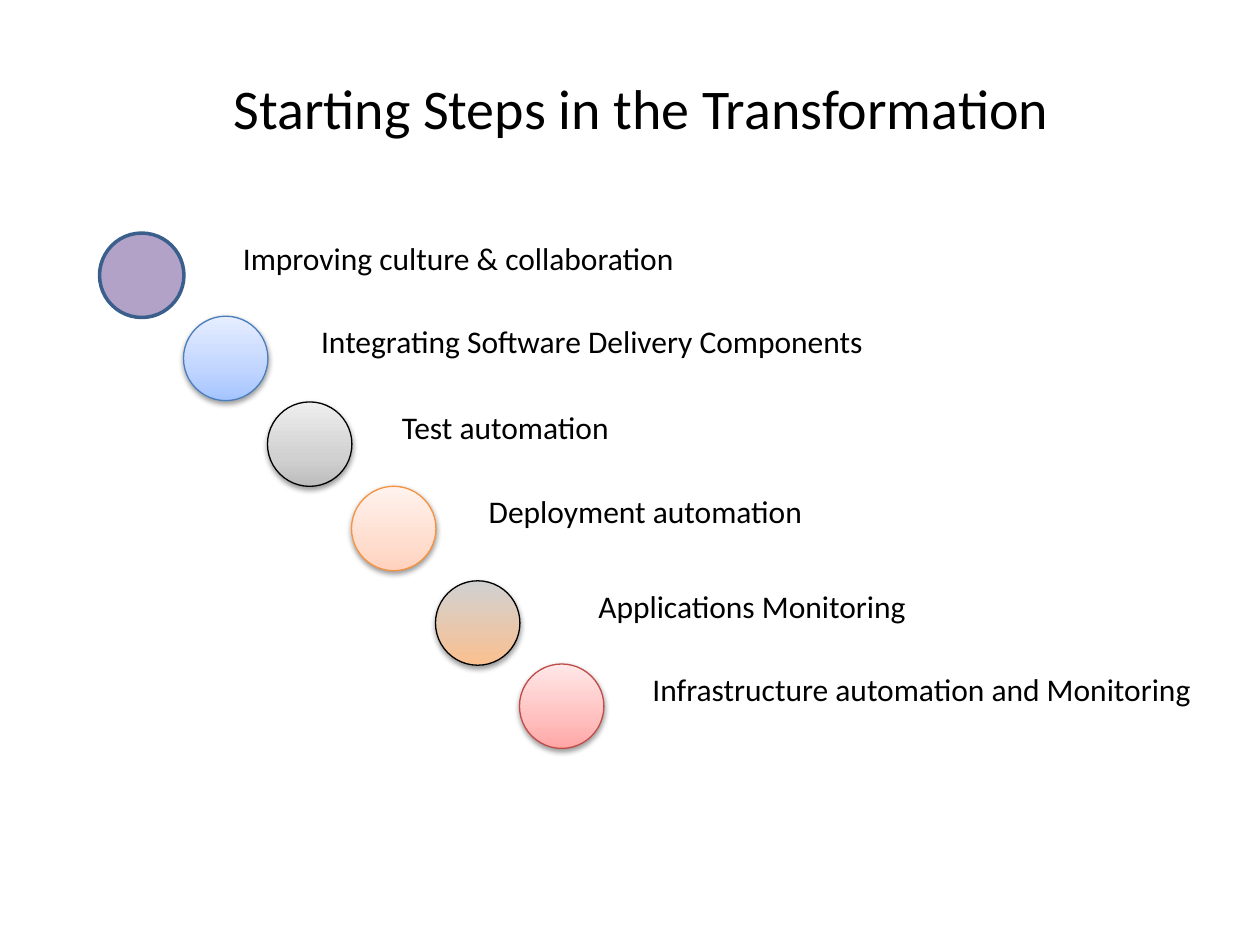
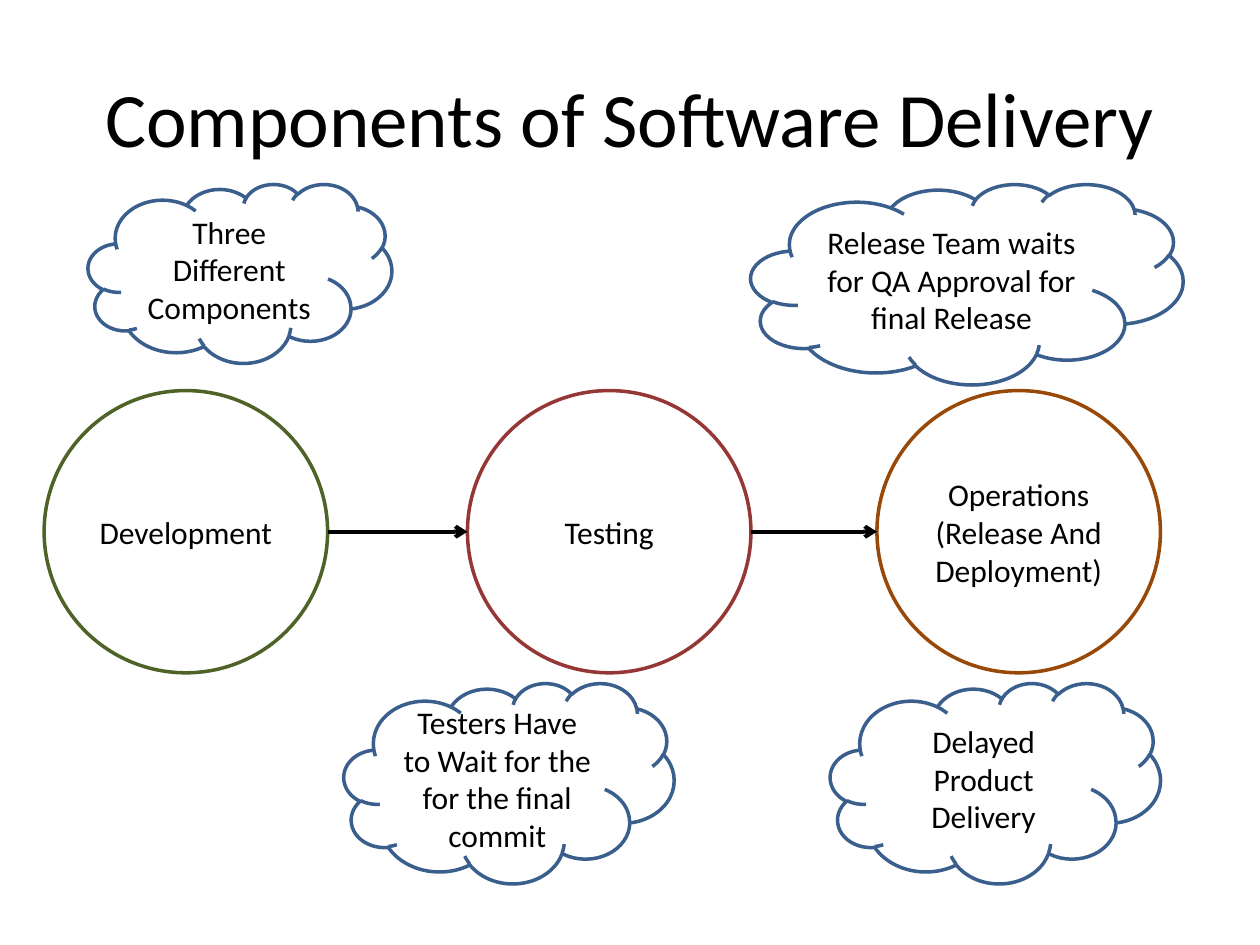
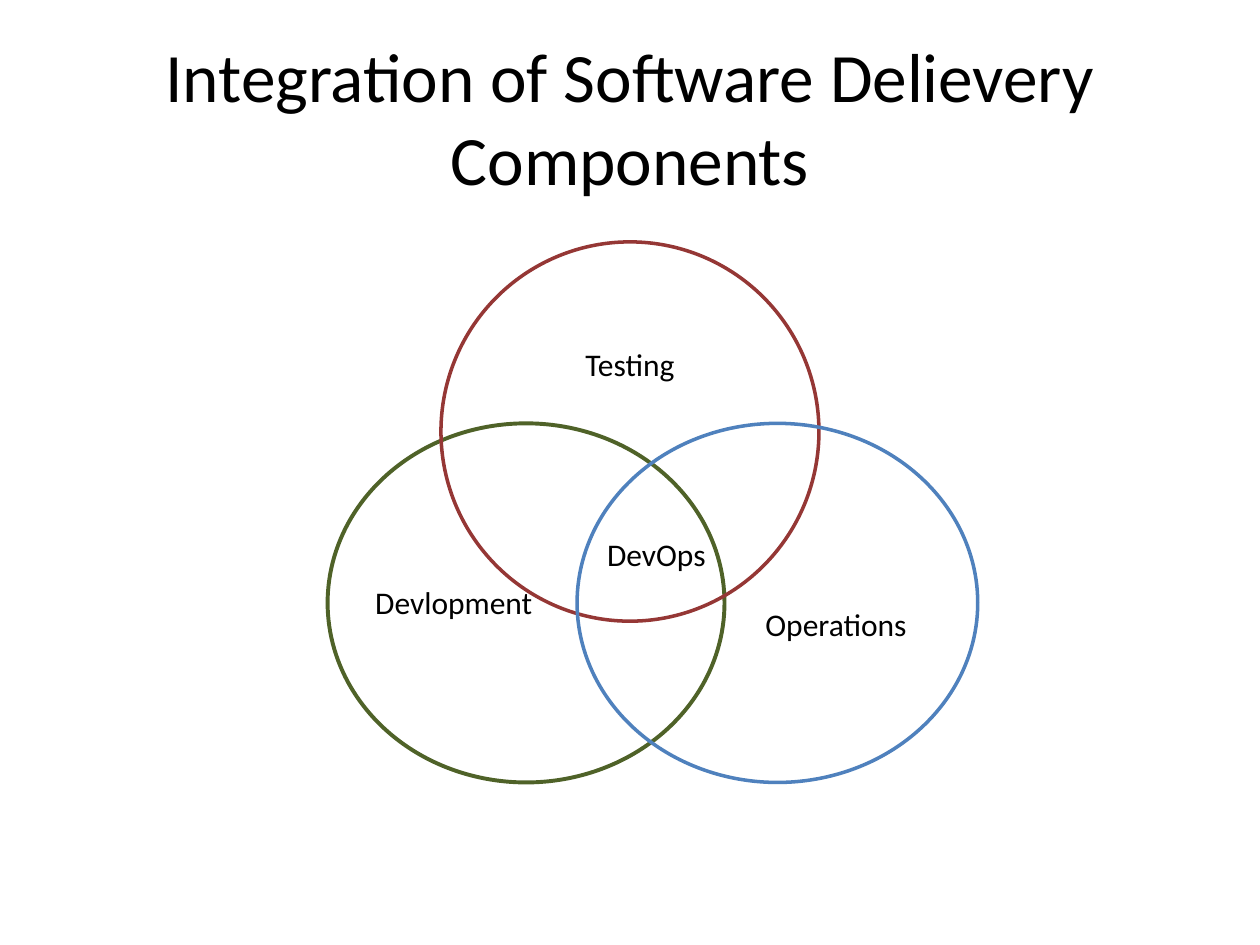
"""Build three slides on the move to joined software delivery."""
from dataclasses import dataclass
from typing import NamedTuple

from lxml.etree import SubElement as Sub
from pptx import Presentation
from pptx.dml.color import RGBColor as Rgb
from pptx.enum.shapes import MSO_CONNECTOR as Link, MSO_SHAPE as Kind
from pptx.enum.text import MSO_ANCHOR as Anchor, MSO_AUTO_SIZE as Fit, PP_ALIGN as Align
from pptx.oxml.ns import qn
from pptx.util import Inches, Pt


@dataclass(frozen=True)
class Theme:
    font: str = "Calibri"
    ink: str = "000000"
    paper: str = "FFFFFF"
    navy: str = "3A5F8C"
    mauve: str = "B3A2C7"
    green: str = "4F6228"
    red: str = "953735"
    brown: str = "984807"
    blue: str = "4F81BD"
    body: float = 18
    small: float = 32
    mid: float = 39.6
    large: float = 44
    thin: float = 0.75
    line: float = 2
    bold: float = 2.25


class Box(NamedTuple):
    left: float
    top: float
    width: float
    height: float


class Step(NamedTuple):
    label: str
    top: float
    left: float
    width: float
    edge: str
    stops: tuple


class Node(NamedTuple):
    label: str
    box: Box
    edge: str
    kind: Kind = Kind.OVAL


class Ring(NamedTuple):
    label: str
    box: Box
    edge: str
    weight: float
    align: Align = Align.CENTER
    anchor: Anchor = Anchor.TOP


THEME = Theme()
TITLE = Box(0.5, 0.3, 9, 1.25)
DOT = 0.67
PITCH = 2 / 3
DROP = 0.38

STEPS = (
    Step("Improving culture & collaboration", 1.85, 1.83, 3.7, THEME.navy, ()),
    Step("Integrating Software Delivery Components", 2.51, 2.45, 5.02, "4B7EBC",
         ((0, "A4C4FF"), (35, "BFD4FF"), (100, "E6EEFF"))),
    Step("Test automation", 3.19, 3.09, 5.02, THEME.ink,
         ((0, "BDBDBD"), (35, "D1D1D1"), (100, "EEEEEE"))),
    Step("Deployment automation", 3.86, 3.78, 2.75, "F69240",
         ((0, "FFD2BD"), (35, "FFDED0"), (100, "FFF2ED"))),
    Step("Applications Monitoring", 4.61, 4.65, 2.75, THEME.ink,
         ((0, "FAC090"), (100, "D1D1D1"))),
    Step("Infrastructure automation and Monitoring", 5.27, 5.08, 4.6, "BF4C48",
         ((0, "FFA6A5"), (35, "FFC0BF"), (100, "FFE7E7"))),
)

STAGES = tuple(
    Node(label, Box(left, 3.1, 2.25, 2.24), edge)
    for label, left, edge in (
        ("Development", 0.35, THEME.green),
        ("Testing", 3.71, THEME.red),
        ("Operations\n(Release And Deployment)", 6.96, THEME.brown),
    )
)

CLOUDS = tuple(
    Node(label, Box(*box), THEME.navy, Kind.CLOUD)
    for label, box in (
        ("Three Different Components", (0.7, 1.46, 2.41, 1.42)),
        ("Testers Have to Wait for the for the final commit", (2.73, 5.42, 2.62, 1.59)),
        ("Release Team waits for QA Approval for final Release", (5.96, 1.46, 3.43, 1.59)),
        ("Delayed Product Delivery", (6.59, 5.42, 2.62, 1.59)),
    )
)

RINGS = (
    Ring("", Box(2.6, 3.36, 3.15, 2.85), THEME.green, THEME.bold),
    Ring("Testing", Box(3.5, 1.92, 3, 3.01), THEME.red, THEME.line),
    Ring("Operations", Box(4.58, 3.36, 3.18, 2.85), THEME.blue, THEME.line,
         Align.RIGHT, Anchor.MIDDLE),
)


def spread(box: Box) -> tuple:
    """Turn a box into four lengths."""
    return tuple(Inches(side) for side in box)


def write(shape, words: str, *, size: float = THEME.body, align: Align = Align.LEFT,
          anchor: Anchor = Anchor.TOP, inset: float = 0.05) -> None:
    """Put text in a shape, one paragraph to a line."""
    frame = shape.text_frame
    frame.text = words
    frame.word_wrap = True
    frame.auto_size = Fit.NONE
    frame.vertical_anchor = anchor
    frame.margin_top = Inches(inset)
    for para in frame.paragraphs:
        para.alignment = align
        para.font.name = THEME.font
        para.font.size = Pt(size)
        para.font.color.rgb = Rgb.from_string(THEME.ink)


def label(slide, words: str, box: Box, **form) -> None:
    """Add a text box."""
    write(slide.shapes.add_textbox(*spread(box)), words, **form)


def start(deck, words: str, size: float, box: Box = TITLE):
    """Add a slide with its title."""
    slide = deck.slides.add_slide(deck.slide_layouts[5])
    title = slide.shapes.title
    title.left, title.top, title.width, title.height = spread(box)
    write(title, words, size=size, align=Align.CENTER, anchor=Anchor.MIDDLE)
    return slide


def draw(slide, kind: Kind, box: Box, edge: str, weight: float = THEME.line, fill: str = ""):
    """Add an outlined shape with a plain fill or none."""
    shape = slide.shapes.add_shape(kind, *spread(box))
    shape.shadow.inherit = False
    if fill:
        shape.fill.solid()
        shape.fill.fore_color.rgb = Rgb.from_string(fill)
    else:
        shape.fill.background()
    shape.line.color.rgb = Rgb.from_string(edge)
    shape.line.width = Pt(weight)
    return shape


def shade(shape, stops: tuple) -> None:
    """Give a shape an upward gradient and a soft shadow."""
    shape.fill.gradient()
    shape.fill.gradient_angle = 90
    props = shape._element.spPr
    ramp = props.find(qn("a:gradFill")).find(qn("a:gsLst"))
    for old in list(ramp):
        ramp.remove(old)
    for place, tint in stops:
        stop = Sub(ramp, qn("a:gs"), pos=str(place * 1000))
        Sub(stop, qn("a:srgbClr"), val=tint)
    cast = Sub(props.find(qn("a:effectLst")), qn("a:outerShdw"), blurRad="40000",
               dist="20000", dir="5400000", rotWithShape="0")
    Sub(Sub(cast, qn("a:srgbClr"), val=THEME.ink), qn("a:alpha"), val="38000")


def arrow(slide, left: float, right: float, level: float) -> None:
    """Add a level arrow that points right."""
    line = slide.shapes.add_connector(
        Link.STRAIGHT, Inches(left), Inches(level), Inches(right), Inches(level))
    line.line.color.rgb = Rgb.from_string(THEME.ink)
    line.line.width = Pt(THEME.bold)
    Sub(line.line._get_or_add_ln(), qn("a:tailEnd"), type="arrow")
    Sub(line._element.spPr, qn("a:effectLst"))


def steps(deck) -> None:
    """Draw the stair of first steps."""
    slide = start(deck, "Starting Steps in the Transformation", THEME.small,
                  Box(0.23, 0.53, 9.72, 0.64))
    for rank, step in enumerate(STEPS):
        box = Box(0.79 + rank * PITCH, step.top, DOT, DOT)
        weight = THEME.thin if step.stops else THEME.line
        dot = draw(slide, Kind.OVAL, box, step.edge, weight, THEME.mauve)
        if step.stops:
            shade(dot, step.stops)
        label(slide, step.label, Box(step.left, step.top, step.width, 0.4))


def stages(deck) -> None:
    """Draw the chain of teams and its delays."""
    slide = start(deck, "Components of Software Delivery", THEME.large)
    for node in STAGES + CLOUDS:
        shape = draw(slide, node.kind, node.box, node.edge, fill=THEME.paper)
        write(shape, node.label, align=Align.CENTER, anchor=Anchor.MIDDLE)
    for here, there in zip(STAGES, STAGES[1:]):
        box = here.box
        arrow(slide, box.left + box.width, there.box.left, box.top + box.height / 2)


def rings(deck) -> None:
    """Draw the three teams that overlap."""
    slide = start(deck, "Integration of Software Delievery Components", THEME.mid)
    for ring in RINGS:
        shape = draw(slide, Kind.OVAL, ring.box, ring.edge, ring.weight)
        if ring.label:
            write(shape, ring.label, align=ring.align, anchor=ring.anchor, inset=DROP)
    label(slide, "DevOps", Box(4.72, 4.2, 1.03, 0.4))
    label(slide, "Devlopment", Box(2.88, 4.28, 1.7, 1), anchor=Anchor.MIDDLE)


def main() -> None:
    """Build and save the deck."""
    deck = Presentation()
    deck.slide_width, deck.slide_height = Inches(10), Inches(7.5)
    for build in (steps, stages, rings):
        build(deck)
    deck.save("out.pptx")


if __name__ == "__main__":
    main()
